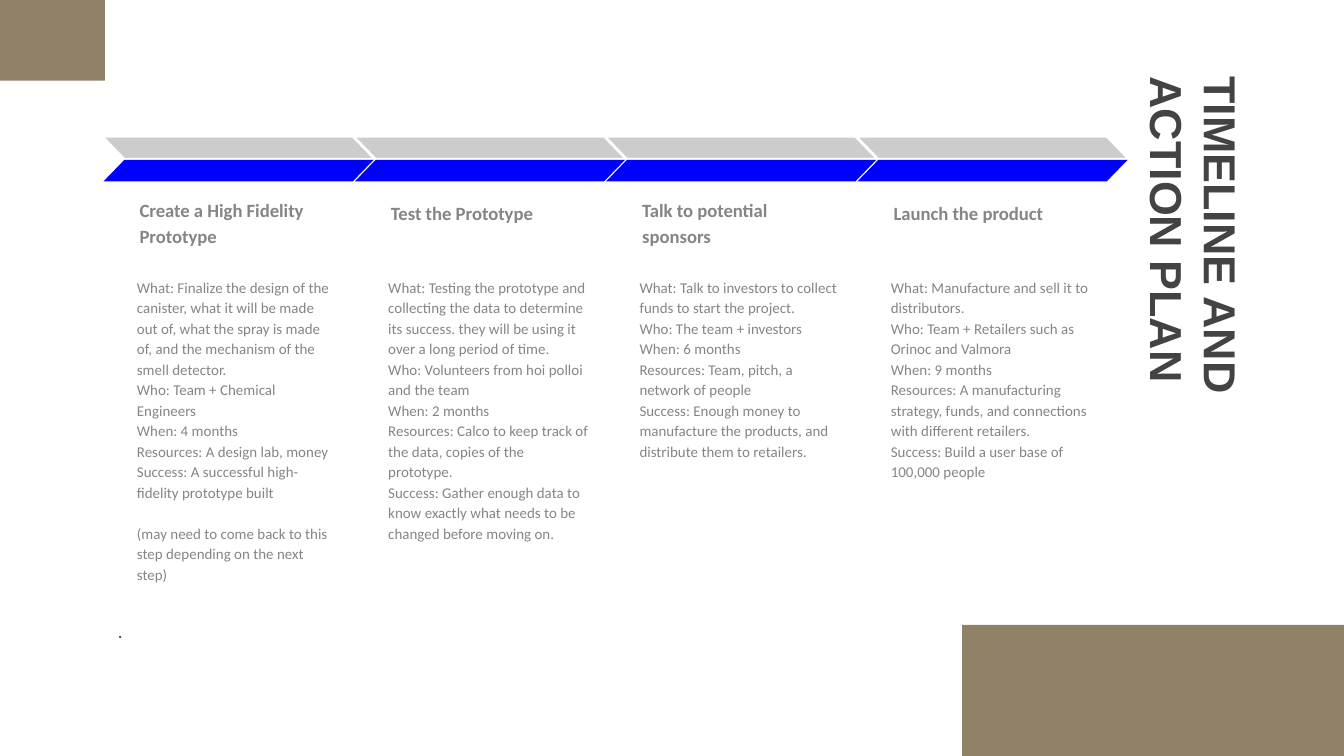
import pptx
import pptx.dml.color
import pptx.enum.shapes
import pptx.enum.text
import pptx.util

Inches = pptx.util.Inches
Pt = pptx.util.Pt
SHAPE = pptx.enum.shapes.MSO_SHAPE
ANCHOR = pptx.enum.text.MSO_ANCHOR

COLORS = {"tan": "908269", "gray": "CCCCCC", "blue": "0000FF",
          "white": "FFFFFF", "dark": "434343", "text": "858585"}
LABELS = ["What", "Who", "When", "Resources", "Success"]
STEPS = [
    ("Create a High Fidelity Prototype", 1.45, [
        "Finalize the design of the canister, what it will be made out of, "
        "what the spray is made of, and the mechanism of the smell detector.",
        "Team + Chemical Engineers",
        "4 months",
        "A design lab, money",
        "A successful high-fidelity prototype built"],
     "(may need to come back to this step depending on the next step)"),
    ("Test the Prototype", 1.28, [
        "Testing the prototype and collecting the data to determine its "
        "success. they will be using it over a long period of time.",
        "Volunteers from hoi polloi and the team",
        "2 months",
        "Calco to keep track of the data, copies of the prototype.",
        "Gather enough data to know exactly what needs to be changed "
        "before moving on."], None),
    ("Talk to potential sponsors", 1.45, [
        "Talk to investors to collect funds to start the project.",
        "The team + investors",
        "6 months",
        "Team, pitch, a network of people",
        "Enough money to manufacture the products, and distribute them "
        "to retailers."], None),
    ("Launch the product", 1.28, [
        "Manufacture and sell it to distributors.",
        "Team + Retailers such as Orinoc and Valmora",
        "9 months",
        "A manufacturing strategy, funds, and connections with different "
        "retailers.",
        "Build a user base of 100,000 people"], None),
]


def color(name):
    """Return the named colour."""
    return pptx.dml.color.RGBColor.from_string(COLORS[name])


def write(box, lines, size=8, font="Calibri", ink="text", bold=False,
          space=1.15, anchor=ANCHOR.TOP):
    """Fill a box with formatted paragraphs and return the last one."""
    frame = box.text_frame
    frame.word_wrap = True
    frame.auto_size = pptx.enum.text.MSO_AUTO_SIZE.NONE
    frame.vertical_anchor = anchor
    frame.margin_left = frame.margin_right = Inches(0.1)
    frame.margin_top = frame.margin_bottom = Inches(0.1)
    frame.text = "\n".join(lines)
    for para in frame.paragraphs:
        para.alignment = pptx.enum.text.PP_ALIGN.LEFT
        para.line_spacing = space
        para.space_before = Pt(0)
        para.font.size = Pt(size)
        para.font.name = font
        para.font.bold = bold
        para.font.color.rgb = color(ink)
    return para


def add_box(slide, left, top, width, height):
    """Add an empty text box."""
    return slide.shapes.add_textbox(Inches(left), Inches(top),
                                    Inches(width), Inches(height))


def add_shape(slide, kind, left, top, width, height, fill, line=None):
    """Add a filled shape with an optional thin outline."""
    shape = slide.shapes.add_shape(kind, Inches(left), Inches(top),
                                   Inches(width), Inches(height))
    shape.shadow.inherit = False
    shape.fill.solid()
    shape.fill.fore_color.rgb = color(fill)
    if line:
        shape.line.color.rgb = color(line)
        shape.line.width = Pt(0.75)
    else:
        shape.line.fill.background()
    return shape


def add_arrow(slide, left):
    """Add a chevron made of a gray upper and a blue lower half."""
    kind = SHAPE.PARALLELOGRAM
    upper = add_shape(slide, kind, left, 1.02, 2.01, 0.16, "gray", "white")
    upper._element.spPr.xfrm.set("flipH", "1")
    lower = add_shape(slide, kind, left, 1.19, 2.01, 0.16, "blue")
    for half in (upper, lower):
        half.adjustments[0] = 0.97


def add_step(slide, left, head, top, facts, note):
    """Add one step: heading, details and chevron."""
    write(add_box(slide, left + 0.17, top, 1.65, 0.49), [head],
          size=10, bold=True, anchor=ANCHOR.BOTTOM)
    lines = [f"{label}: {fact}" for label, fact in zip(LABELS, facts)]
    if note:
        lines.append(note)
    last = write(add_box(slide, left + 0.15, 1.95, 1.69, 2.64), lines)
    if note:
        last.space_before = Pt(11)
    add_arrow(slide, left)


def add_title(slide, text):
    """Place the title sideways along the right edge."""
    title = slide.shapes.title
    title.left, title.top = Inches(7.22), Inches(2.11)
    title.width, title.height = Inches(3.81), Inches(0.53)
    title.rotation = 90
    write(title, [text], size=24, font="Arial", ink="dark", bold=True, space=1)


def main():
    """Build the slide and save it."""
    deck = pptx.Presentation()
    deck.slide_width = Inches(10)
    deck.slide_height = deck.slide_width * 9 // 16
    slide = deck.slides.add_slide(deck.slide_layouts[5])
    add_title(slide, "TIMELINE AND ACTION PLAN")
    add_shape(slide, SHAPE.RECTANGLE, 0, 0, 0.78, 0.6, "tan")
    add_shape(slide, SHAPE.RECTANGLE, 7.16, 4.65, 2.84, 0.98, "tan")
    write(add_box(slide, 0.78, 4.51, 6.8, 0.57), ["."],
          size=10, ink="dark", space=1)
    for i, step in enumerate(STEPS):
        add_step(slide, 0.77 + 1.87 * i, *step)
    deck.save("out.pptx")


if __name__ == "__main__":
    main()
